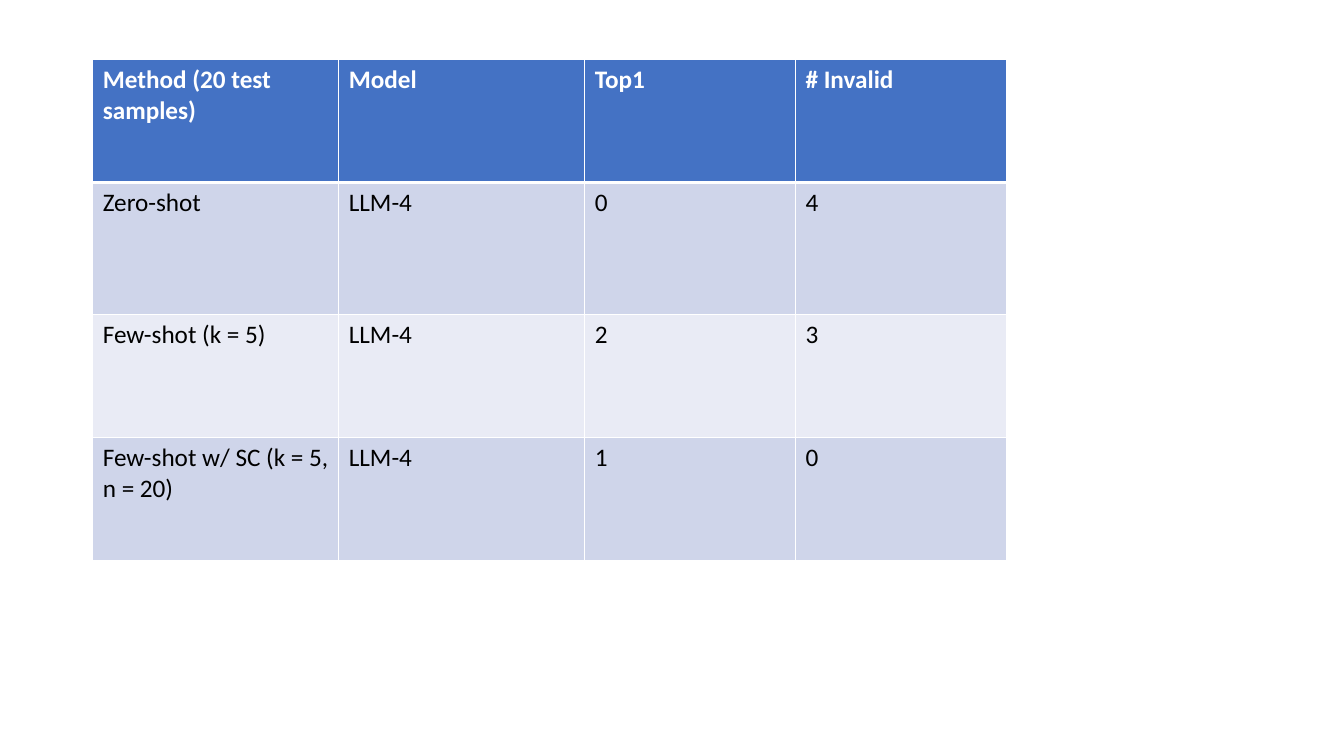
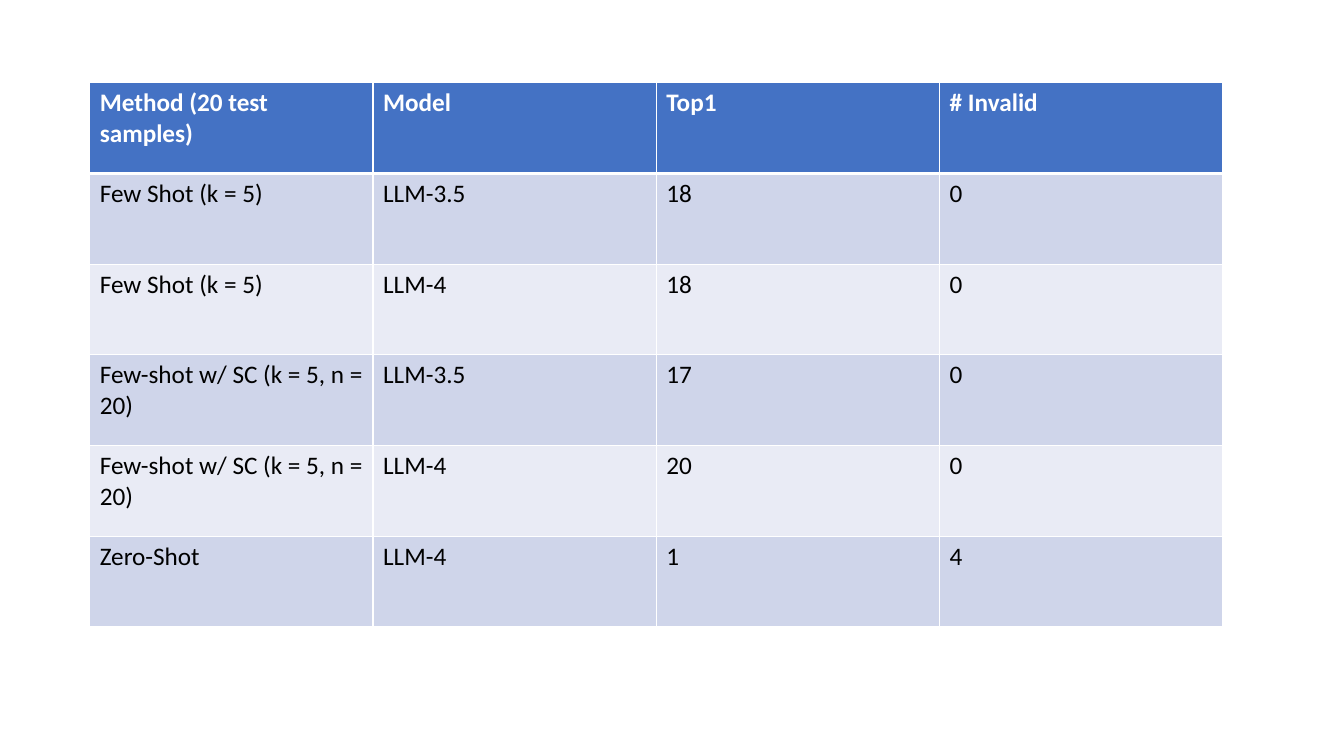
from dataclasses import dataclass

from lxml import etree
from pptx import Presentation
from pptx.dml.color import RGBColor
from pptx.oxml.ns import qn
from pptx.util import Inches, Pt

HEAD = ("Method (20 test samples)", "Model", "Top1", "# Invalid")
TABLES = [
    {
        "at": (0.92, 0.59),
        "cols": (2.44, 2.44, 2.09, 2.09),
        "rows": (1.22, 1.31, 1.22, 1.22),
        "body": [
            ("Zero-shot", "LLM-4", "0", "4"),
            ("Few-shot (k = 5)", "LLM-4", "2", "3"),
            ("Few-shot w/ SC (k = 5, n = 20)", "LLM-4", "1", "0"),
        ],
    },
    {
        "at": (0.89, 0.82),
        "cols": (2.81,) * 4,
        "rows": (0.9,) * 6,
        "body": [
            ("Few Shot (k = 5)", "LLM-3.5", "18", "0"),
            ("Few Shot (k = 5)", "LLM-4", "18", "0"),
            ("Few-shot w/ SC (k = 5, n = 20)", "LLM-3.5", "17", "0"),
            ("Few-shot w/ SC (k = 5, n = 20)", "LLM-4", "20", "0"),
            ("Zero-Shot", "LLM-4", "1", "4"),
        ],
    },
]


@dataclass(frozen=True)
class Theme:
    font: str = "Calibri"
    size: int = 18
    head: str = "4472C4"
    bands: tuple = ("E9EBF5", "CFD5EA")
    light: str = "FFFFFF"
    dark: str = "000000"
    thin: int = 1
    thick: int = 3


THEME = Theme()


def add_edge(cell, side, width):
    props = cell._tc.get_or_add_tcPr()
    line = etree.SubElement(props, qn(f"a:ln{side}"), w=str(Pt(width)))
    fill = etree.SubElement(line, qn("a:solidFill"))
    etree.SubElement(fill, qn("a:srgbClr"), val=THEME.light)


def style_cell(cell, text, row):
    is_head = row == 0
    edges = {
        "L": THEME.thin,
        "R": THEME.thin,
        "T": THEME.thick if row == 1 else THEME.thin,
        "B": THEME.thick if is_head else THEME.thin,
    }
    for side, width in edges.items():
        add_edge(cell, side, width)
    cell.fill.solid()
    color = THEME.head if is_head else THEME.bands[row % 2]
    cell.fill.fore_color.rgb = RGBColor.from_string(color)
    cell.text = text
    font = cell.text_frame.paragraphs[0].font
    font.name = THEME.font
    font.size = Pt(THEME.size)
    font.bold = is_head
    font.color.rgb = RGBColor.from_string(THEME.light if is_head else THEME.dark)


def add_grid(slide, data):
    cols, rows = data["cols"], data["rows"]
    box = (*data["at"], sum(cols), sum(rows))
    table = slide.shapes.add_table(len(rows), len(cols), *map(Inches, box)).table
    for col, width in zip(table.columns, cols):
        col.width = Inches(width)
    for row, height in zip(table.rows, rows):
        row.height = Inches(height)
    for r, texts in enumerate([HEAD, *data["body"]]):
        for c, text in enumerate(texts):
            style_cell(table.cell(r, c), text, r)


deck = Presentation()
deck.slide_width, deck.slide_height = Inches(13.33), Inches(7.5)
blank = deck.slide_layouts.get_by_name("Blank")
for data in TABLES:
    add_grid(deck.slides.add_slide(blank), data)
deck.save("out.pptx")
